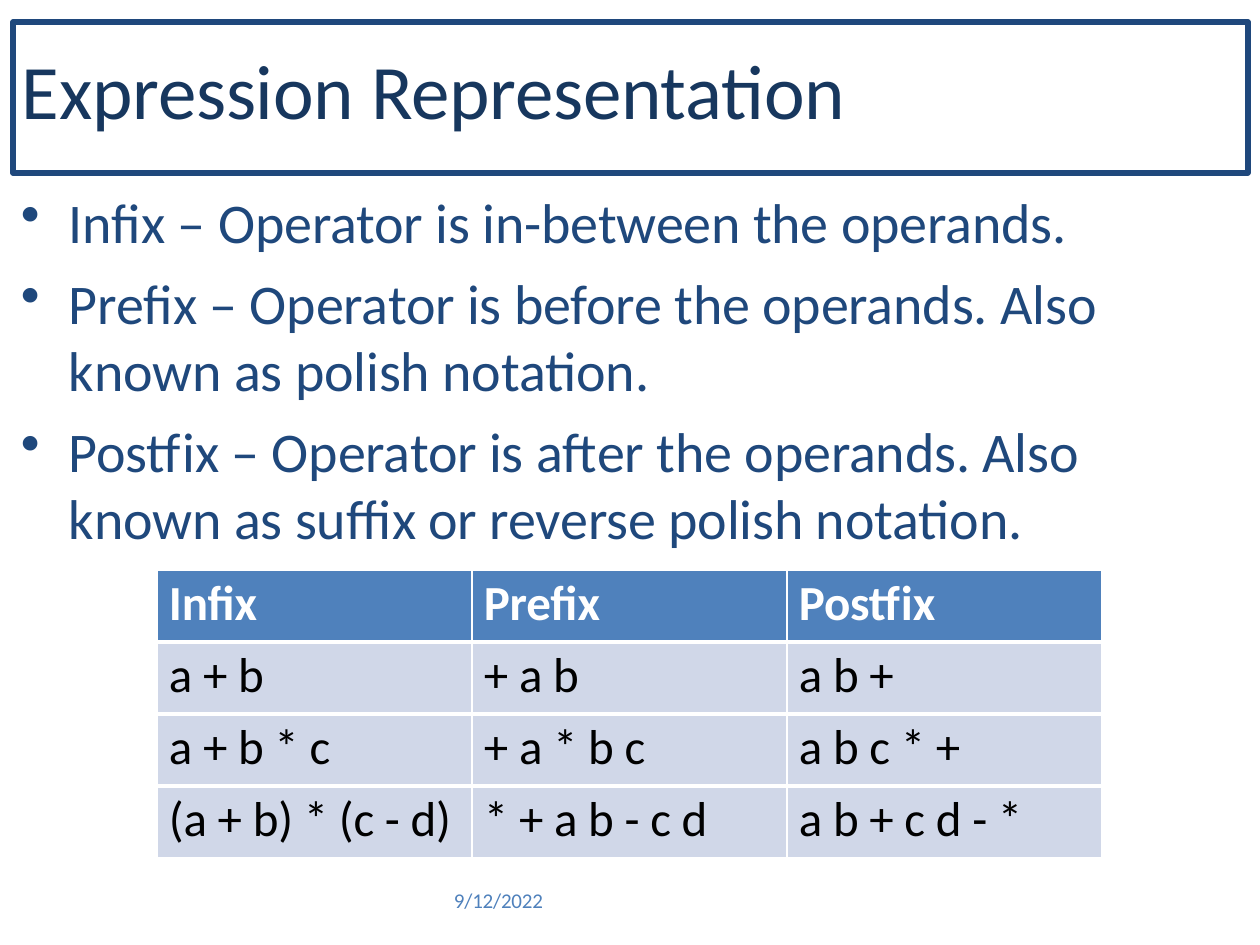
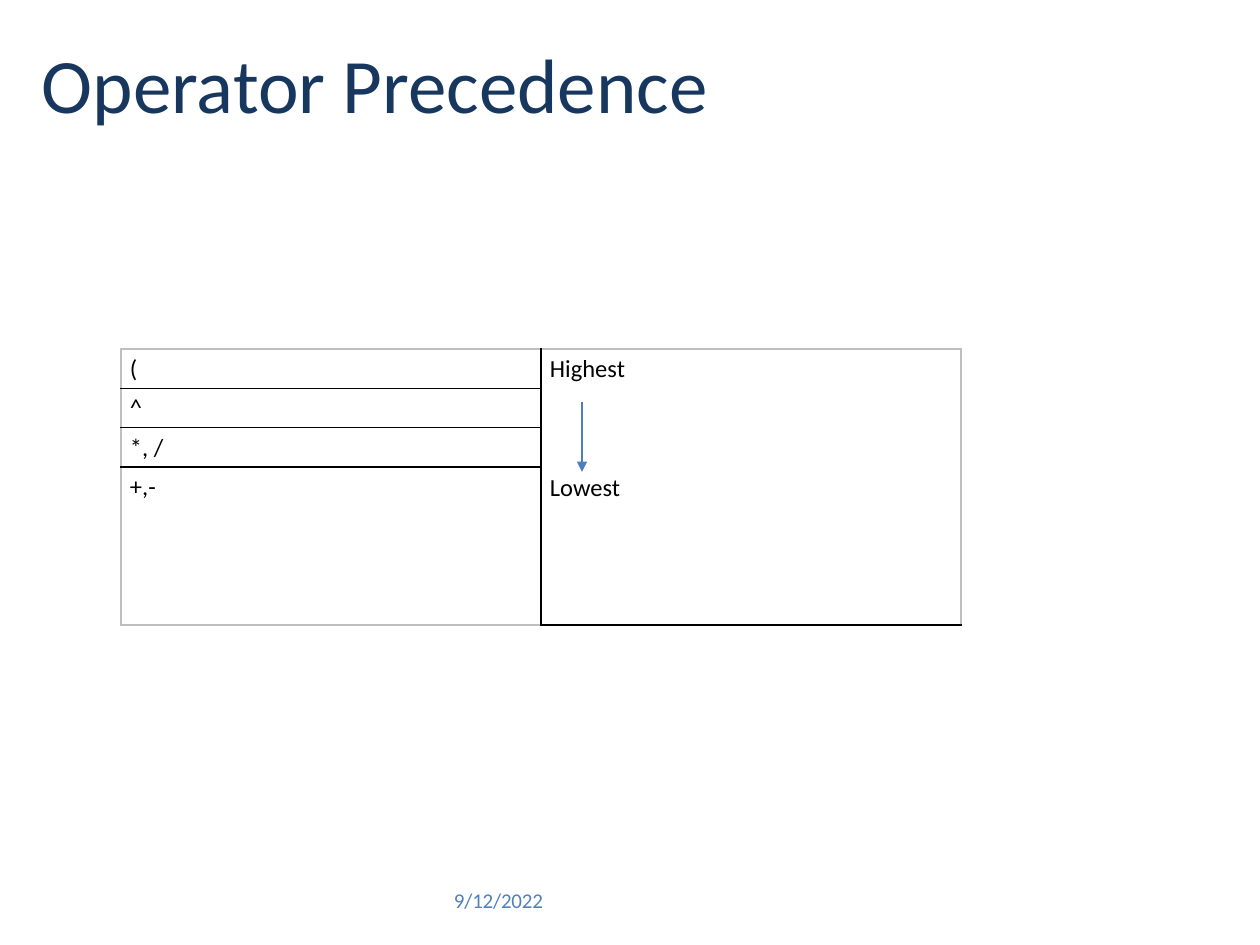
from dataclasses import dataclass

from lxml import etree
from pptx import Presentation
from pptx import util as u
from pptx.dml.color import RGBColor
from pptx.enum import shapes
from pptx.oxml.ns import qn

# Content
DATE = "9/12/2022"
NOTATIONS = [
    "Infix – Operator is in-between the operands.",
    "Prefix – Operator is before the operands. Also known as polish notation.",
    "Postfix – Operator is after the operands. Also known as suffix or reverse polish notation.",
]
EXAMPLES = [
    ("Infix", "Prefix", "Postfix"),
    ("a + b", "+ a b", "a b +"),
    ("a + b * c", "+ a * b c", "a b c * +"),
    ("(a + b) * (c - d)", "* + a b - c d", "a b + c d - *"),
]
OPERATORS = ["(", "^", "*, /", "+,-"]
RANKS = ["Highest", "Lowest"]


@dataclass(frozen=True)
class TextStyle:
    size: float
    color: str
    bold: bool = False
    tracking: int = 0  # hundredths of a point


class Theme:
    font = "Calibri"
    frame = "1F487C"
    header_fill = "4F81BC"
    body_fill = "D0D7E8"
    arrow = "4B7EBC"
    white_rule = "FFFFFF"
    inner_rule = "000000"
    outer_rule = "BFBFBF"
    title = TextStyle(44, "17375E")
    framed_title = TextStyle(44, "17375E", tracking=-15)
    bullet = TextStyle(32, "1F487C", tracking=-10)
    header = TextStyle(28, "FFFFFF", bold=True, tracking=-10)
    example = TextStyle(28, "000000", tracking=-10)
    precedence = TextStyle(14, "000000")
    date = TextStyle(12, "4F81BC", tracking=-10)


def px(count):
    return u.Emu(round(count * 914400 / 126))


def rgb(color):
    return RGBColor.from_string(color)


def set_margins(holder, left, top, right=0, bottom=0):
    holder.margin_left, holder.margin_top = px(left), px(top)
    holder.margin_right, holder.margin_bottom = px(right), px(bottom)


def write(frame, lines, style, gap=0, bulleted=False):
    """Fill a text frame, one paragraph a line, with gap points between them."""
    for index, line in enumerate(lines):
        para = frame.paragraphs[0] if index == 0 else frame.add_paragraph()
        para.text = line
        if index:
            para.space_before = u.Pt(gap)
        if bulleted:
            props = para._p.get_or_add_pPr()
            props.set("marL", str(px(49)))
            props.set("indent", str(px(-48)))
            etree.SubElement(props, qn("a:buChar")).set("char", "•")
        font = para.font
        font.name, font.size, font.bold = Theme.font, u.Pt(style.size), style.bold
        font.color.rgb = rgb(style.color)
        if style.tracking:
            font._rPr.set("spc", str(style.tracking))


def add_text(page, place, lines, style, margins=(0, 0), **options):
    box = page.shapes.add_textbox(*map(px, place))
    box.text_frame.word_wrap = True
    set_margins(box.text_frame, *margins)
    write(box.text_frame, lines, style, **options)
    return box


def add_date(page):
    box = add_text(page, (453, 891, 353, 24), [DATE], Theme.date, (1, 0))
    box.text_frame.paragraphs[0].line_spacing = u.Pt(12.4)


def set_borders(cell, **sides):
    """Draw each side (L, R, T, B) as a (color, points) rule."""
    props = cell._tc.get_or_add_tcPr()
    for side, (color, points) in sides.items():
        line = etree.SubElement(props, qn(f"a:ln{side}"), w=str(u.Pt(points)))
        fill = etree.SubElement(line, qn("a:solidFill"))
        etree.SubElement(fill, qn("a:srgbClr"), val=color)


def add_grid(page, left, top, col_width, row_height, across, down):
    """Add an unstyled table; across and down list its horizontal and vertical rules."""
    rows, cols = len(across) - 1, len(down) - 1
    grid = page.shapes.add_table(
        rows, cols, px(left), px(top), px(col_width * cols), px(row_height * rows)
    ).table
    grid.first_row = grid.horz_banding = False
    for column in grid.columns:
        column.width = px(col_width)
    for r, row in enumerate(grid.rows):
        row.height = px(row_height)
        for c, cell in enumerate(row.cells):
            set_borders(cell, L=down[c], R=down[c + 1], T=across[r], B=across[r + 1])
            cell.fill.background()
    return grid


def add_arrow(page, x, top, bottom):
    arrow = page.shapes.add_connector(
        shapes.MSO_CONNECTOR.STRAIGHT, px(x), px(top), px(x), px(bottom)
    )
    arrow.line.color.rgb = rgb(Theme.arrow)
    arrow.line.width = u.Pt(0.75)
    props = arrow._element.spPr
    etree.SubElement(props.find(qn("a:ln")), qn("a:tailEnd"), type="triangle")
    etree.SubElement(props, qn("a:effectLst"))


def build_representation(page):
    title = add_text(page, (13, 22, 1235, 151), ["Expression Representation"],
                     Theme.framed_title, (9, 21))
    title.line.color.rgb = rgb(Theme.frame)
    title.line.width = u.Pt(3)
    add_text(page, (20, 173, 1086, 380), NOTATIONS, Theme.bullet, (0, 15),
             gap=7.7, bulleted=True)

    across = [(Theme.white_rule, points) for points in (1, 3, 2.25, 2.25, 1)]
    down = [(Theme.white_rule, 1)] * 4
    grid = add_grid(page, 157, 570, 315, 72, across, down)
    for r, texts in enumerate(EXAMPLES):
        for c, label in enumerate(texts):
            cell = grid.cell(r, c)
            set_margins(cell, 12, 4)
            write(cell.text_frame, [label], Theme.example if r else Theme.header)
            cell.fill.solid()
            cell.fill.fore_color.rgb = rgb(Theme.body_fill if r else Theme.header_fill)


def build_precedence(page):
    add_text(page, (42, 37, 756, 93), ["Operator Precedence"], Theme.title)

    inner, outer = (Theme.inner_rule, 1), (Theme.outer_rule, 1)
    across = [outer, inner, inner, inner, outer]
    grid = add_grid(page, 121, 349, 420, 39, across, [outer, inner, outer])
    ranks = grid.cell(0, 1)
    ranks.merge(grid.cell(len(OPERATORS) - 1, 1))
    labels = [(grid.cell(r, 0), [label]) for r, label in enumerate(OPERATORS)]
    for cell, lines in labels + [(ranks, RANKS)]:
        set_margins(cell, 9, 5, 9, 5)
        write(cell.text_frame, lines, Theme.precedence, gap=51)
    add_arrow(page, 582, 402, 472)


def main():
    deck = Presentation()
    deck.slide_width, deck.slide_height = px(1260), px(945)
    for build in (build_representation, build_precedence):
        page = deck.slides.add_slide(deck.slide_layouts[6])
        build(page)
        add_date(page)
    deck.save("out.pptx")


if __name__ == "__main__":
    main()
